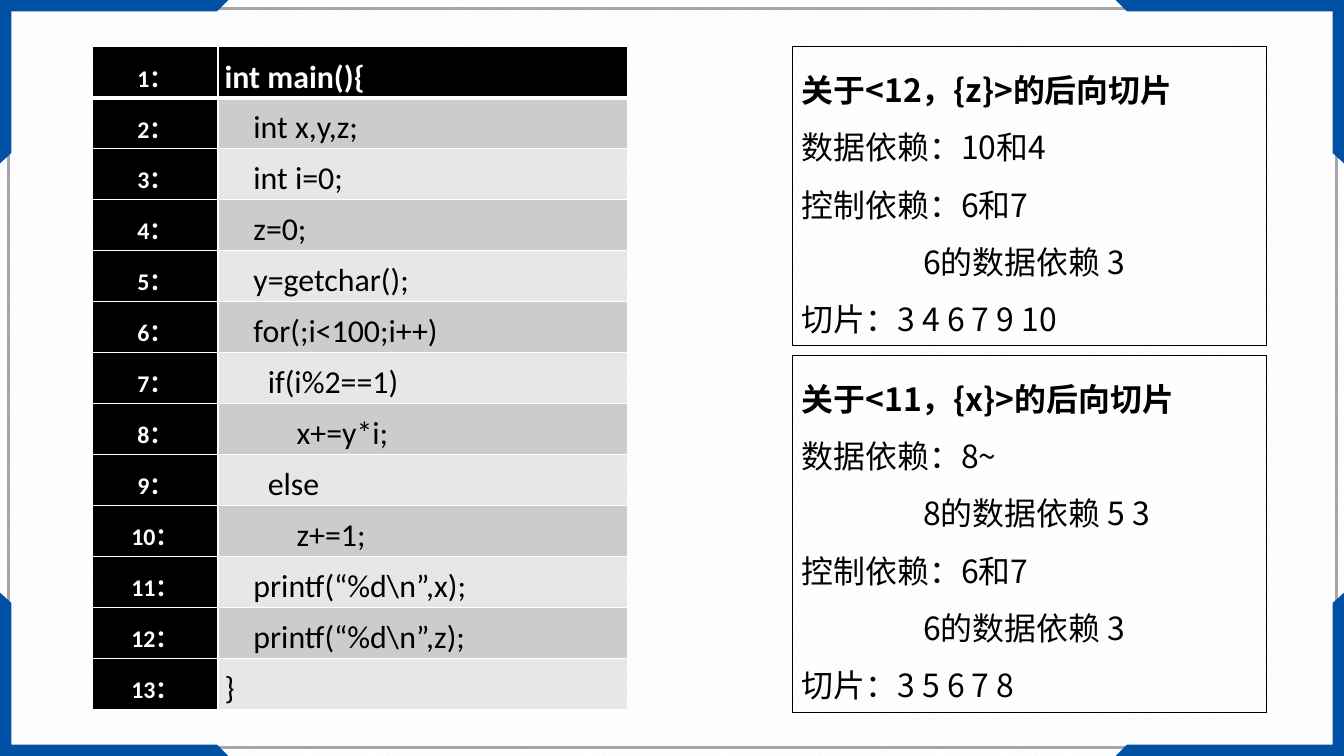
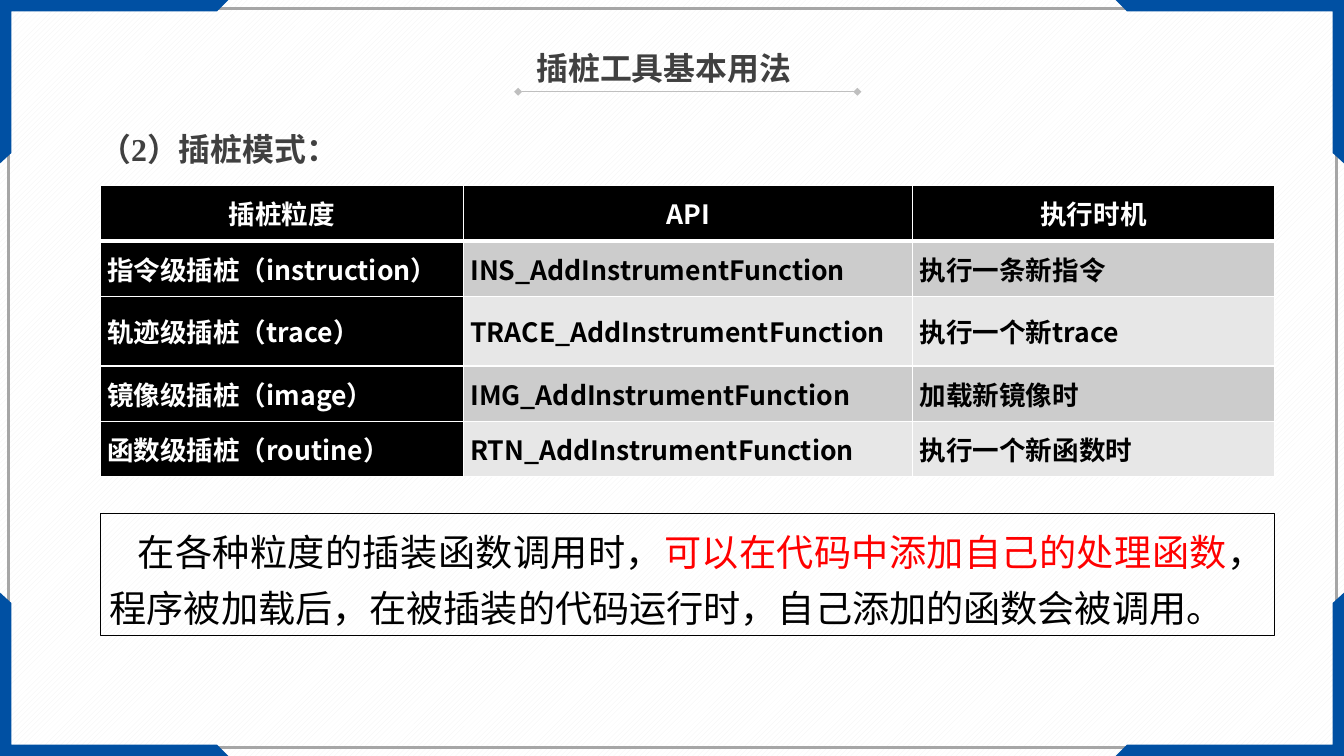
from lxml import etree
from pptx import Presentation
from pptx.dml.color import RGBColor
from pptx.enum.dml import MSO_PATTERN
from pptx.enum.shapes import MSO_CONNECTOR, MSO_SHAPE
from pptx.enum.text import MSO_ANCHOR, MSO_AUTO_SIZE, PP_ALIGN
from pptx.oxml.ns import qn
from pptx.util import Inches, Pt

WIDTH, HEIGHT = 14.06, 7.91
TITLE_ONLY, BLANK = 5, 6
BLACK, WHITE, RED, BLUE = "000000", "FFFFFF", "FF0000", "0050A3"
DARK_GREY, FRAME_GREY, RULE_GREY = "404040", "A6A6A6", "BFBFBF"
BANDS = ("CCCCCC", "E7E7E7")
SANS = "Noto Sans CJK SC"
HEADING = {"name": "Times New Roman", "size": Pt(24), "bold": True}
NOTE = {"name": SANS, "size": Pt(24), "bold": False}
NOTE_HEAD = {**NOTE, "bold": True}
REMARK = {"name": SANS, "size": Pt(28)}
LINE_NUMBER = {"name": "Calibri", "size": Pt(18), "bold": True}
CODE = {"name": "Calibri", "size": Pt(24), "bold": False}
GRID = {"name": SANS, "size": Pt(20), "bold": True}
CORNER = [(0, 0), (2.39, 0), (2.27, 0.12), (0.12, 0.12), (0.12, 1.6), (0, 1.71)]

CODE_LINES = [
    "int main(){",
    "    int x,y,z;",
    "    int i=0;",
    "    z=0;",
    "    y=getchar();",
    "    for(;i<100;i++)",
    "      if(i%2==1)",
    "          x+=y*i;",
    "      else",
    "          z+=1;",
    "    printf(“%d\\n”,x);",
    "    printf(“%d\\n”,z);",
    "}",
]
SLICE_Z = [
    ("关于<12，{z}>的后向切片", 0),
    ("数据依赖：10和4", 0),
    ("控制依赖：6和7", 0),
    ("6的数据依赖 3", 1.27),
    ("切片：3 4 6 7 9 10", 0),
]
SLICE_X = [
    ("关于<11，{x}>的后向切片", 0),
    ("数据依赖：8~", 0),
    ("8的数据依赖 5 3", 1.27),
    ("控制依赖：6和7", 0),
    ("6的数据依赖 3", 1.27),
    ("切片：3 5 6 7 8", 0),
]
MODES = [
    ("插桩粒度", "API", "执行时机"),
    ("指令级插桩（instruction）", "INS_AddInstrumentFunction", "执行一条新指令"),
    ("轨迹级插桩（trace）", "TRACE_AddInstrumentFunction", "执行一个新trace"),
    ("镜像级插桩（image）", "IMG_AddInstrumentFunction", "加载新镜像时"),
    ("函数级插桩（routine）", "RTN_AddInstrumentFunction", "执行一个新函数时"),
]


def rgb(value):
    """Turn a hex string into a colour."""
    return RGBColor.from_string(value)


def assign(target, values):
    """Set every attribute named in a dict of format values."""
    for name, value in values.items():
        setattr(target, name, value)


def solid(fill, colour):
    """Give a fill one plain colour."""
    fill.solid()
    fill.fore_color.rgb = rgb(colour)


def outline(line, colour, width):
    """Draw a line in one colour and width."""
    solid(line.fill, colour)
    line.width = Pt(width)


def write(para, spans, font, layout, left=0, first=0):
    """Fill a paragraph with coloured spans and lay it out."""
    para._p.get_or_add_pPr().set("marL", str(Inches(left)))
    para._p.get_or_add_pPr().set("indent", str(Inches(first)))
    assign(para, layout)
    for text, colour in spans:
        span = para.add_run()
        span.text = text
        assign(span.font, font)
        span.font.color.rgb = rgb(colour)


def prepare(box):
    """Make a box wrap its text, start at the top and grow with it."""
    assign(box.text_frame, {
        "word_wrap": True,
        "auto_size": MSO_AUTO_SIZE.SHAPE_TO_FIT_TEXT,
        "vertical_anchor": MSO_ANCHOR.TOP,
    })
    return box.text_frame


def add_outlined_box(page, place):
    """Add a thin black frame and return its text frame."""
    box = page.shapes.add_shape(MSO_SHAPE.RECTANGLE, *map(Inches, place))
    box.shadow.inherit = False
    box.fill.background()
    outline(box.line, BLACK, 0.75)
    return prepare(box)


def add_slice_note(page, place, lines):
    """Add a framed note whose first line is bold."""
    frame = add_outlined_box(page, place)
    layout = {"alignment": PP_ALIGN.LEFT, "line_spacing": 1.5}
    for index, (text, left) in enumerate(lines):
        para = frame.add_paragraph() if index else frame.paragraphs[0]
        write(para, [(text, BLACK)], NOTE if index else NOTE_HEAD, layout, left)


def set_borders(cell, widths):
    """Draw white cell borders, widths in points by side."""
    props = cell._tc.get_or_add_tcPr()
    for index, (side, width) in enumerate(widths.items()):
        line = etree.Element(qn(f"a:ln{side}"), w=str(Pt(width)))
        paint = etree.SubElement(line, qn("a:solidFill"))
        etree.SubElement(paint, qn("a:srgbClr"), val=WHITE)
        props.insert(index, line)


def add_grid(page, place, widths, heights, rows, style):
    """Add a table with a black header row, black first column and grey bands."""
    size = (*place, sum(widths), sum(heights))
    table = page.shapes.add_table(len(rows), len(widths), *map(Inches, size)).table
    for column, width in zip(table.columns, widths):
        column.width = Inches(width)
    for row, height in zip(table.rows, heights):
        row.height = Inches(height)
    for row, texts in enumerate(rows):
        for column, text in enumerate(texts):
            cell = table.cell(row, column)
            dark = row == 0 or column == 0
            solid(cell.fill, BLACK if dark else BANDS[(row - 1) % 2])
            set_borders(cell, {"L": 1, "R": 1, "T": 3 if row == 1 else 1, "B": 1 if row else 3})
            assign(cell, {
                "vertical_anchor": MSO_ANCHOR.MIDDLE,
                "margin_left": Inches(0.07), "margin_right": Inches(0.07),
                "margin_top": 0, "margin_bottom": 0,
            })
            font, layout = style(row, column)
            write(cell.text_frame.paragraphs[0], [(text, WHITE if dark else BLACK)], font, layout)


def code_style(row, column):
    """Give the format of a cell in the code listing."""
    align = PP_ALIGN.JUSTIFY if column else PP_ALIGN.CENTER
    font = {**CODE, "bold": row == 0} if column else LINE_NUMBER
    return font, {"alignment": align, "line_spacing": 1.25}


def mode_style(row, column):
    """Give the format of a cell in the table of modes."""
    return GRID, {"alignment": PP_ALIGN.LEFT if row else PP_ALIGN.CENTER}


def add_corner(shapes, right, bottom):
    """Add the blue corner bracket, mirrored to the side asked for."""
    points = [(Inches(WIDTH - x if right else x), Inches(HEIGHT - y if bottom else y))
              for x, y in CORNER]
    builder = shapes.build_freeform(*points[0], scale=1.0)
    builder.add_line_segments(points[1:], close=True)
    corner = builder.convert_to_shape()
    corner.shadow.inherit = False
    solid(corner.fill, BLUE)
    corner.line.fill.background()


def decorate_master(deck, page):
    """Put the hatched ground, grey frame and blue corners on the master."""
    ground = deck.slide_master.background.fill
    ground.patterned()
    ground.pattern = MSO_PATTERN.WIDE_UPWARD_DIAGONAL
    ground.fore_color.rgb, ground.back_color.rgb = rgb("F2F2F2"), rgb(WHITE)
    group = page.shapes.add_group_shape()
    place = (0.09, 0.09, 13.89, 7.73)
    frame = group.shapes.add_shape(MSO_SHAPE.RECTANGLE, *map(Inches, place))
    frame.shadow.inherit = False
    frame.fill.background()
    outline(frame.line, FRAME_GREY, 2)
    for right in (False, True):
        for bottom in (False, True):
            add_corner(group.shapes, right, bottom)
    for number, props in enumerate(group.element.iter(qn("p:cNvPr")), 100):
        props.set("id", str(number))
    deck.slide_master.shapes.element.insert(2, group.element)


def add_title(page, text):
    """Fill the title and rule it off with a diamond-ended line."""
    title = page.shapes.title
    places = map(Inches, (4.98, 0.46, 3.93, 0.5))
    assign(title, dict(zip(("left", "top", "width", "height"), places)))
    write(prepare(title).paragraphs[0], [(text, DARK_GREY)], HEADING,
          {"alignment": PP_ALIGN.CENTER})
    ends = map(Inches, (5.42, 0.96, 8.97, 0.96))
    rule = page.shapes.add_connector(MSO_CONNECTOR.STRAIGHT, *ends)
    outline(rule.line, RULE_GREY, 0.5)
    props = rule.element.find(qn("p:spPr"))
    for end in ("a:headEnd", "a:tailEnd"):
        etree.SubElement(props.find(qn("a:ln")), qn(end), type="diamond")
    etree.SubElement(props, qn("a:effectLst"))


def set_chinese_font(page):
    """Name the East Asian font beside every Latin one."""
    for latin in list(page.shapes.element.iter(qn("a:latin"))):
        latin.addnext(etree.Element(qn("a:ea"), typeface=SANS))


def build_slicing(page):
    """Show the code listing and its two backward slices."""
    rows = [(f"{number}：", line) for number, line in enumerate(CODE_LINES, 1)]
    heights = [6.93 / len(rows)] * len(rows)
    add_grid(page, (0.97, 0.49), (1.31, 4.28), heights, rows, code_style)
    add_slice_note(page, (8.29, 0.49, 4.96, 3.13), SLICE_Z)
    add_slice_note(page, (8.29, 3.72, 4.96, 3.74), SLICE_X)


def build_modes(page):
    """Show the table of instrumentation modes and a remark."""
    add_title(page, "插桩工具基本用法")
    section = page.shapes.add_textbox(*map(Inches, (0.65, 1.15, 13.23, 0.67)))
    write(prepare(section).paragraphs[0], [("（2）插桩模式：", DARK_GREY)], HEADING,
          {"line_spacing": 1.4}, first=0.29)
    heights = (0.58, 0.58, 0.73, 0.58, 0.58)
    add_grid(page, (1.05, 1.94), (3.8, 4.7, 3.78), heights, MODES, mode_style)
    remark = add_outlined_box(page, (1.05, 5.37, 12.28, 1.28))
    spans = [
        ("在各种粒度的插装函数调用时，", BLACK),
        ("可以在代码中添加自己的处理函数", RED),
        ("，程序被加载后，在被插装的代码运行时，自己添加的函数会被调用。", BLACK),
    ]
    write(remark.paragraphs[0], spans, REMARK,
          {"alignment": PP_ALIGN.JUSTIFY, "line_spacing": 1.25}, first=0.29)


def main():
    """Build and save the deck."""
    deck = Presentation()
    deck.slide_width, deck.slide_height = Inches(WIDTH), Inches(HEIGHT)
    slicing = deck.slides.add_slide(deck.slide_layouts[BLANK])
    modes = deck.slides.add_slide(deck.slide_layouts[TITLE_ONLY])
    decorate_master(deck, slicing)
    build_slicing(slicing)
    build_modes(modes)
    for page in (slicing, modes):
        set_chinese_font(page)
    deck.save("out.pptx")


if __name__ == "__main__":
    main()
